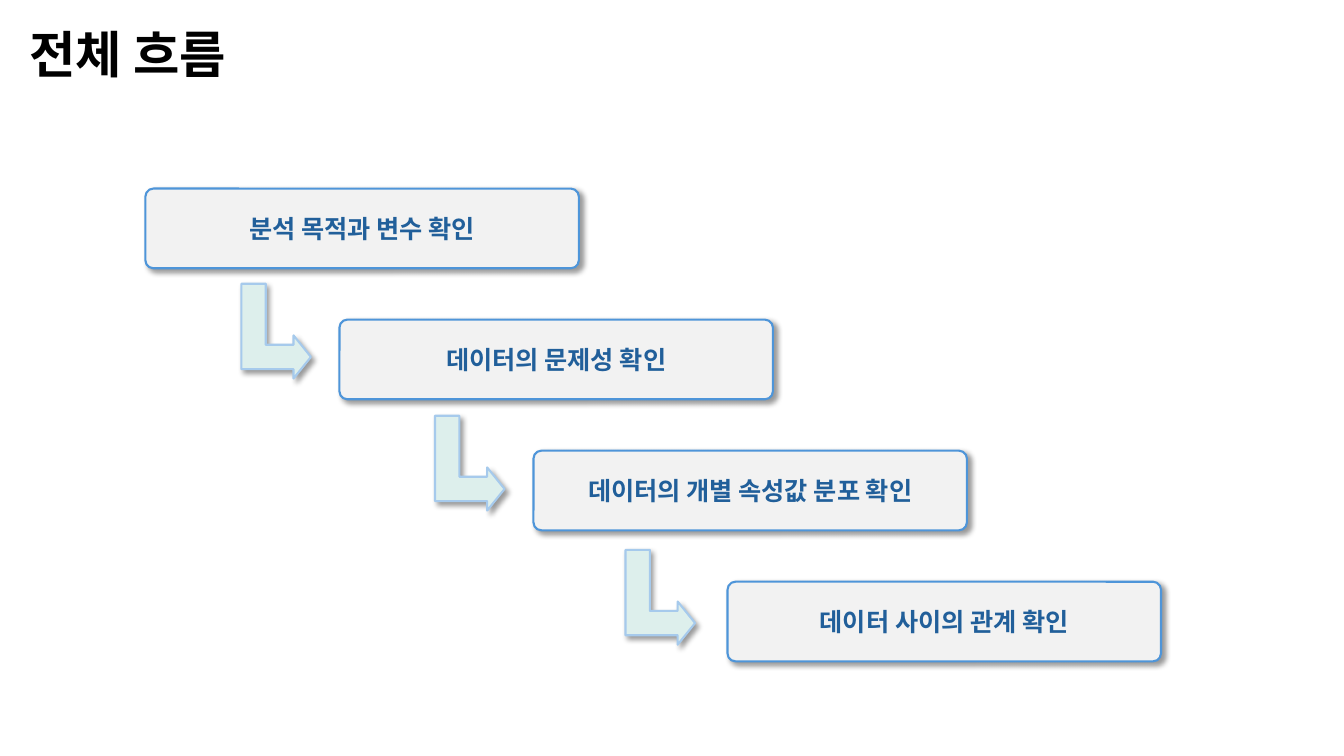
from lxml.etree import SubElement
from pptx import Presentation
from pptx.dml.color import RGBColor
from pptx.enum.shapes import MSO_SHAPE
from pptx.enum.text import MSO_ANCHOR, PP_ALIGN
from pptx.oxml.ns import qn
from pptx.util import Pt

TITLE = "전체 흐름"
STEPS = [
    "분석 목적과 변수 확인",
    "데이터의 문제성 확인",
    "데이터의 개별 속성값 분포 확인",
    "데이터 사이의 관계 확인",
]
ARROW_PLACES = [(163.4, 211.7), (301.7, 306), (437.8, 401.8)]

FONT = "Noto Sans CJK KR"
TITLE_FORMAT = {"size": Pt(36), "bold": True, "name": FONT}
STEP_FORMAT = {"size": Pt(18), "bold": True, "name": FONT}
BOX_LEFT, BOX_TOP = 103.9, 134.7
STEP_RIGHT, STEP_DOWN = 138.6, 93.6
BOX_SIZE = (309.6, 56.9)
ARROW_SIZE = (67.7, 49.7)


def color(value):
    return RGBColor.from_string(value)


def write(frame, text, font_format, text_color, alignment):
    frame.word_wrap = True
    frame.vertical_anchor = MSO_ANCHOR.MIDDLE
    para = frame.paragraphs[0]
    para.alignment = alignment
    span = para.add_run()
    span.text = text
    for name, value in font_format.items():
        setattr(span.font, name, value)
    span.font.color.rgb = color(text_color)
    SubElement(span.font._element, qn("a:ea"), typeface=FONT)
    return para


def add_shape(page, kind, place, size, adjustments, fill, line):
    shape = page.shapes.add_shape(kind, *map(Pt, place + size))
    for index, value in enumerate(adjustments):
        shape.adjustments[index] = value
    shape.fill.solid()
    shape.fill.fore_color.rgb = color(fill)
    shape.line.color.rgb = color(line)
    shape.line.width = Pt(1.5)
    shape.shadow.inherit = False
    effects = shape._element.spPr.find(qn("a:effectLst"))
    shadow = SubElement(
        effects, qn("a:outerShdw"), blurRad=str(Pt(4)), dist=str(Pt(3)),
        dir="2700000", algn="tl", rotWithShape="0",
    )
    shade = SubElement(shadow, qn("a:srgbClr"), val="000000")
    SubElement(shade, qn("a:alpha"), val="40000")
    return shape


def main():
    deck = Presentation()
    deck.slide_width, deck.slide_height = Pt(960), Pt(540)
    page = deck.slides.add_slide(deck.slide_layouts[5])

    title = page.shapes.title
    title_place = {"left": 13.7, "top": 11.5, "width": 828, "height": 59}
    for name, value in title_place.items():
        setattr(title, name, Pt(value))
    heading = write(title.text_frame, TITLE, TITLE_FORMAT, "000000", PP_ALIGN.LEFT)
    heading.line_spacing = 0.9

    for index, step in enumerate(STEPS):
        place = (BOX_LEFT + index * STEP_RIGHT, BOX_TOP + index * STEP_DOWN)
        box = add_shape(page, MSO_SHAPE.ROUNDED_RECTANGLE, place, BOX_SIZE,
                        [0.1], "F2F2F2", "4E95D9")
        write(box.text_frame, step, STEP_FORMAT, "215F9A", PP_ALIGN.CENTER)

    for place in ARROW_PLACES:
        arrow = add_shape(page, MSO_SHAPE.BENT_UP_ARROW, place, ARROW_SIZE,
                          [0.35, 0.31, 0.25], "DDEFEC", "A6CAEC")
        arrow.rotation = 90

    deck.save("out.pptx")


if __name__ == "__main__":
    main()
